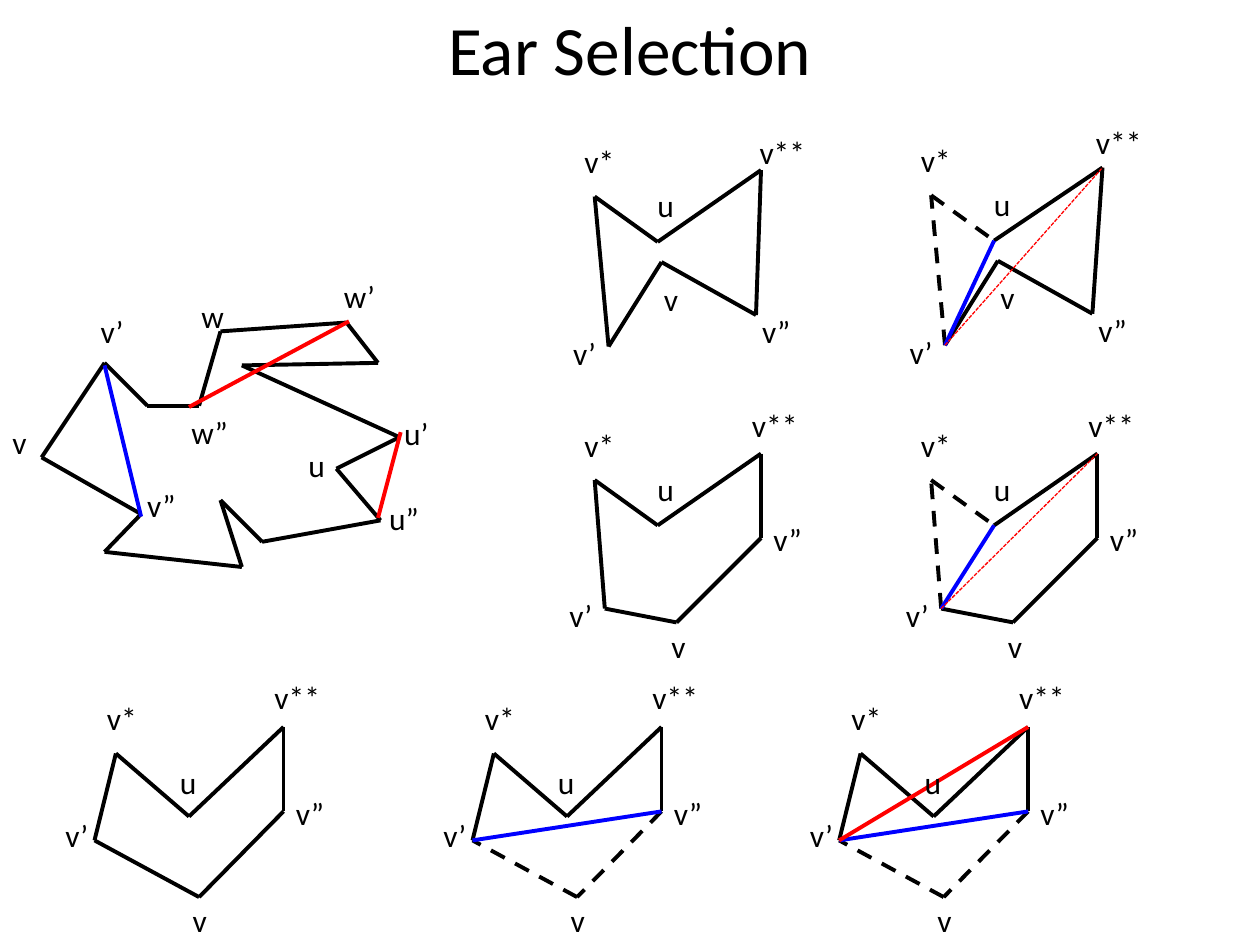
from lxml import etree
from pptx import Presentation
from pptx.dml.color import RGBColor
from pptx.enum.dml import MSO_LINE
from pptx.enum.shapes import MSO_CONNECTOR
from pptx.enum.text import MSO_ANCHOR, MSO_AUTO_SIZE, PP_ALIGN
from pptx.oxml.ns import qn
from pptx.util import Inches, Pt

STRAIGHT = MSO_CONNECTOR.STRAIGHT
DASH, FINE_DASH = MSO_LINE.DASH, MSO_LINE.SQUARE_DOT
MIDDLE, TOP = MSO_ANCHOR.MIDDLE, MSO_ANCHOR.TOP
CENTER, LEFT = PP_ALIGN.CENTER, PP_ALIGN.LEFT
FIT_SHAPE, NO_FIT = MSO_AUTO_SIZE.SHAPE_TO_FIT_TEXT, MSO_AUTO_SIZE.NONE

COLORS = {"ink": "000000", "ear": "0000FF", "rejected": "FF0000"}
STROKES = {
    "edge": ("ink", {"width": Pt(2.25)}),
    "cut": ("ink", {"width": Pt(2.25), "dash_style": DASH}),
    "ear": ("ear", {"width": Pt(2.25)}),
    "rejected": ("rejected", {"width": Pt(2.25)}),
    "candidate": ("rejected", {"width": Pt(0.75), "dash_style": FINE_DASH}),
}
LABEL_WIDTHS = {
    "v": 0.32, "v’": 0.39, "v”": 0.43, "v*": 0.44, "v**": 0.57,
    "u": 0.34, "u’": 0.4, "u”": 0.44, "w": 0.38, "w’": 0.45, "w”": 0.5,
}
LABEL_HEIGHT = 0.4

POLYGON = {
    "corners": {
        "v": (0, 1.48), "v’": (0.5, 0.73), "a": (0.84, 1.07), "b": (1.25, 1.07),
        "w": (1.42, 0.48), "w’": (2.42, 0.41), "c": (2.67, 0.73), "d": (1.59, 0.75),
        "u’": (2.84, 1.32), "u": (2.34, 1.57), "u”": (2.69, 1.98), "e": (1.75, 2.15),
        "f": (1.42, 1.82), "g": (1.59, 2.35), "h": (0.5, 2.23), "v”": (0.79, 1.93),
    },
    "labels": {
        "v": (-0.33, 1.16), "v’": (0.37, 0.28), "v”": (0.74, 1.66),
        "u": (2.02, 1.34), "u’": (2.78, 1.09), "u”": (2.66, 1.76),
        "w": (1.17, 0.16), "w’": (2.3, 0), "w”": (1.09, 1.08),
    },
}
POLYGON_CHORDS = [
    ((0.5, 0.75), (0.79, 1.95), "ear"),
    ((2.85, 1.28), (2.67, 1.96), "rejected"),
    ((2.44, 0.4), (1.17, 1.08), "rejected"),
]
PINCHED = {
    "corners": {"v*": (0.01, 0.56), "u": (0.51, 0.92), "v**": (1.33, 0.35),
                "v”": (1.29, 1.5), "v": (0.54, 1.08), "v’": (0.12, 1.75)},
    "labels": {"v*": (-0.17, 0.08), "u": (0.41, 0.43), "v**": (1.22, 0.01),
               "v”": (1.24, 1.43), "v": (0.46, 1.17), "v’": (-0.26, 1.6)},
}
PINCHED_WIDE = {
    "corners": PINCHED["corners"] | {"v**": (1.37, 0.34)},
    "labels": PINCHED["labels"] | {"v**": (1.22, -0.06)},
}
NOTCHED = {
    "corners": {"v*": (0.01, 0.64), "u": (0.51, 1), "v**": (1.33, 0.43),
                "v”": (1.33, 1.1), "v": (0.66, 1.77), "v’": (0.09, 1.66)},
    "labels": {"v*": (-0.17, 0.16), "u": (0.41, 0.51), "v**": (1.16, 0),
               "v”": (1.33, 0.91), "v": (0.52, 1.76), "v’": (-0.29, 1.51)},
}
VALLEY = {
    "corners": {"v*": (0.17, 0.65), "u": (0.75, 1.15), "v**": (1.5, 0.44),
                "v”": (1.5, 1.11), "v": (0.83, 1.79), "v’": (0, 1.34)},
    "labels": {"v*": (0, 0.17), "u": (0.58, 0.68), "v**": (1.33, 0),
               "v”": (1.5, 0.92), "v": (0.68, 1.77), "v’": (-0.33, 1.1)},
}
UPPER_EAR = {
    "cut_from": ("v’", "v*"),
    "chords": [("v’", "u", "ear"), ("v’", "v**", "candidate")],
}
LOWER_CUT = ("v”", "v")
LOWER_EAR = ("v’", "v”", "ear")
HEXAGONS = [
    (4.71, 1, PINCHED, {}),
    (7.38, 0.99, PINCHED_WIDE, UPPER_EAR),
    (4.71, 3.17, NOTCHED, {}),
    (7.38, 3.17, NOTCHED, UPPER_EAR),
    (0.75, 5.33, VALLEY, {}),
    (3.75, 5.33, VALLEY, {"cut_from": LOWER_CUT, "chords": [LOWER_EAR]}),
    (6.66, 5.33, VALLEY, {"cut_from": LOWER_CUT,
                          "chords": [LOWER_EAR, ("v’", "v**", "rejected")]}),
]


def apply(target, values):
    """Set every named attribute on the target."""
    for name, value in values.items():
        setattr(target, name, value)


def add_text(slide, text, box, size, frame_format, align):
    """Write one line of text in a box given in inches."""
    frame = slide.shapes.add_textbox(*map(Inches, box)).text_frame
    apply(frame, frame_format)
    paragraph = frame.paragraphs[0]
    paragraph.alignment = align
    run = paragraph.add_run()
    run.text = text
    apply(run.font, {"name": "Calibri", "size": Pt(size)})
    run.font.color.rgb = RGBColor.from_string(COLORS["ink"])


def add_line(slide, left, top, start, end, stroke):
    """Draw a stroke between two points relative to a corner."""
    ends = [Inches(value) for x, y in (start, end) for value in (left + x, top + y)]
    segment = slide.shapes.add_connector(STRAIGHT, *ends)
    color, line_format = STROKES[stroke]
    segment.line.color.rgb = RGBColor.from_string(COLORS[color])
    apply(segment.line, line_format)
    etree.SubElement(segment._element.spPr, qn("a:effectLst"))


def add_figure(slide, left, top, figure, cut_from=(), chords=()):
    """Draw a closed outline, its chords and its vertex labels."""
    corners = figure["corners"]
    names = list(corners)
    for name, following in zip(names, names[1:] + names[:1]):
        stroke = "cut" if name in cut_from else "edge"
        add_line(slide, left, top, corners[name], corners[following], stroke)
    for start, end, stroke in chords:
        add_line(slide, left, top, corners.get(start, start), corners.get(end, end), stroke)
    label_format = {"word_wrap": False, "auto_size": FIT_SHAPE, "vertical_anchor": TOP}
    for name, (x, y) in figure["labels"].items():
        box = (left + x, top + y, LABEL_WIDTHS[name], LABEL_HEIGHT)
        add_text(slide, name, box, 18, label_format, LEFT)


def add_title(slide, box):
    """Write the centred slide title."""
    title_format = {"word_wrap": True, "auto_size": NO_FIT, "vertical_anchor": MIDDLE}
    add_text(slide, "Ear Selection", box, 39.6, title_format, CENTER)


def main():
    """Build and save the slide."""
    deck = Presentation()
    apply(deck, {"slide_width": Inches(10), "slide_height": Inches(7.5)})
    slide = deck.slides.add_slide(deck.slide_layouts[6])
    add_title(slide, (0.5, 0, 9, 0.75))
    add_figure(slide, 0.33, 2.15, POLYGON, chords=POLYGON_CHORDS)
    for left, top, figure, marks in HEXAGONS:
        add_figure(slide, left, top, figure, **marks)
    deck.save("out.pptx")


if __name__ == "__main__":
    main()
